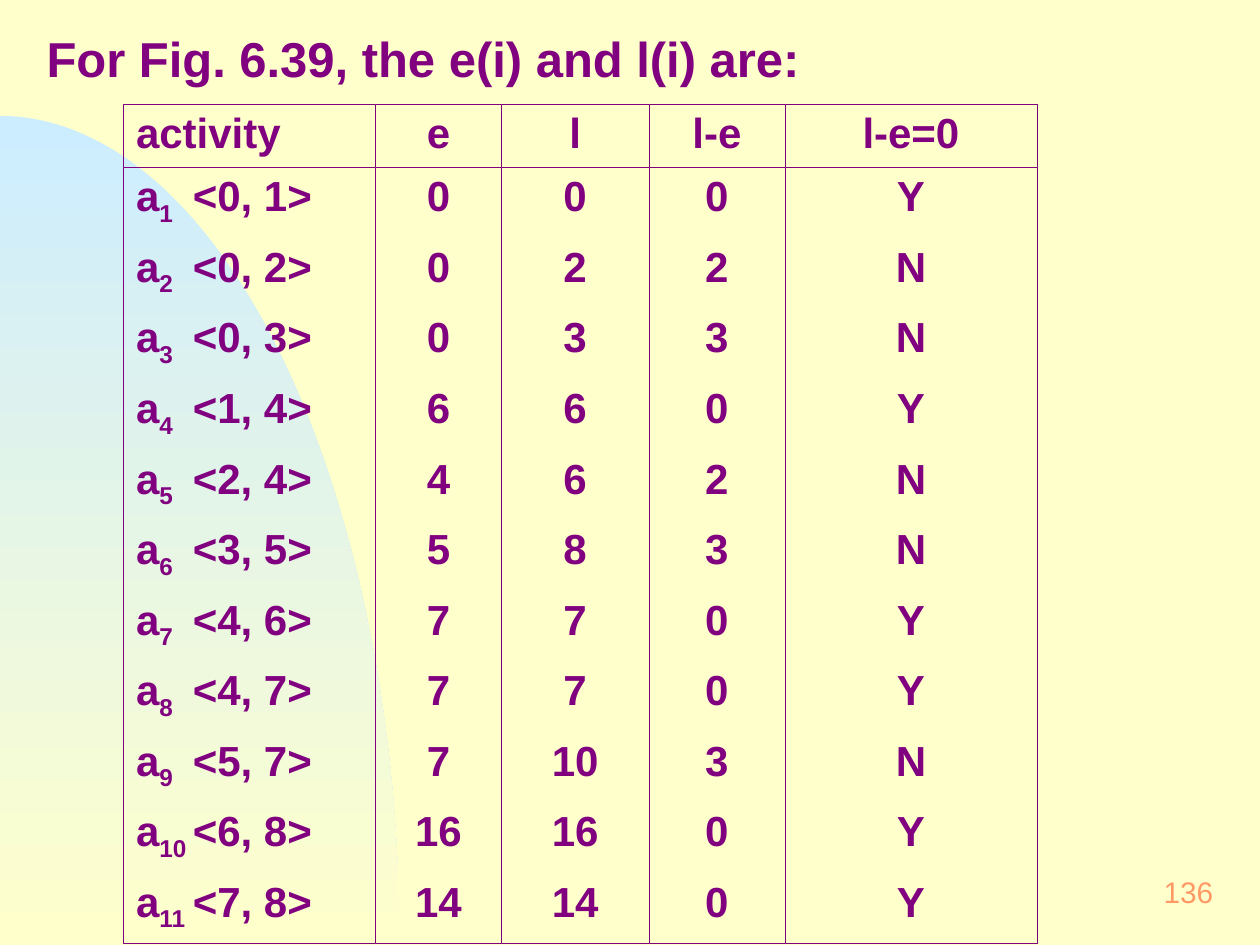
"""Build a slide tabulating the early and late start times of eleven activities."""
from dataclasses import dataclass
from math import cos, pi, sin

from lxml.etree import SubElement
from pptx import Presentation
from pptx.dml.color import RGBColor
from pptx.enum.text import MSO_ANCHOR as Anchor, MSO_AUTO_SIZE as AutoSize, PP_ALIGN as Align
from pptx.oxml.ns import qn
from pptx.util import Inches, Pt

FONT = "Arial"
PURPLE, ORANGE, CREAM, SKY = "800080", "FF9966", "FFFFCC", "CCECFF"
HEADERS = ["activity", "e", "l", "l-e", "l-e=0"]
COL_WIDTHS = [2, 1, 1.17, 1.08, 2]
HEADER_HEIGHT, ROW_HEIGHT = 0.5, 0.56
EDGE_TAB = 0.45


@dataclass
class Activity:
    start: int
    end: int
    early: int
    late: int

    def values(self) -> list[str]:
        slack = self.late - self.early
        return [str(self.early), str(self.late), str(slack), "N" if slack else "Y"]


ACTIVITIES = [
    Activity(0, 1, 0, 0),
    Activity(0, 2, 0, 2),
    Activity(0, 3, 0, 3),
    Activity(1, 4, 6, 6),
    Activity(2, 4, 4, 6),
    Activity(3, 5, 5, 8),
    Activity(4, 6, 7, 7),
    Activity(4, 7, 7, 7),
    Activity(5, 7, 7, 10),
    Activity(6, 8, 16, 16),
    Activity(7, 8, 14, 14),
]


def rgb(color: str) -> RGBColor:
    return RGBColor.from_string(color)


def style(p, size: float, color: str, align=Align.LEFT, bold: bool = True) -> None:
    p.alignment = align
    p.font.name, p.font.size, p.font.bold = FONT, Pt(size), bold
    p.font.color.rgb = rgb(color)


def set_frame(tf, anchor) -> None:
    tf.word_wrap, tf.auto_size, tf.vertical_anchor = True, AutoSize.NONE, anchor
    tf.margin_left = tf.margin_right = Inches(0.12)
    tf.margin_top = tf.margin_bottom = Inches(0.06)


def add_arc(s) -> None:
    rx, ry, bottom, steps = 3.17, 6.58, 7.5, 90
    angles = [pi / 2 * i / steps for i in range(steps + 1)]
    curve = [(Inches(rx * sin(a)), Inches(bottom - ry * cos(a))) for a in angles]
    builder = s.shapes.build_freeform(*curve[0], scale=1.0)
    builder.add_line_segments(curve[1:] + [(0, Inches(bottom))], close=True)
    sp = builder.convert_to_shape()
    sp.shadow.inherit = False
    sp.line.fill.background()
    sp.fill.gradient()
    sp.fill.gradient_angle = 270
    for stop, color, position in zip(sp.fill.gradient_stops, (SKY, CREAM), (0, 1)):
        stop.color.rgb, stop.position = rgb(color), position


def add_title(s, text: str) -> None:
    sp = s.shapes.title
    sp.left, sp.top, sp.width, sp.height = map(Inches, (0.25, 0.17, 9.58, 0.59))
    set_frame(sp.text_frame, Anchor.TOP)
    sp.text_frame.text = text
    style(sp.text_frame.paragraphs[0], 28, PURPLE)


def add_page_number(s, text: str) -> None:
    tf = s.shapes.add_textbox(*map(Inches, (7.67, 6.83, 2.08, 0.5))).text_frame
    set_frame(tf, Anchor.MIDDLE)
    tf.text = text
    style(tf.paragraphs[0], 17, ORANGE, Align.RIGHT, bold=False)


def set_borders(cell, sides: str) -> None:
    tc_pr = cell._tc.get_or_add_tcPr()
    for i, side in enumerate("LRTB"):
        ln = SubElement(tc_pr, qn(f"a:ln{side}"), w=str(Pt(0.45)))
        tc_pr.insert(i, ln)
        if side in sides:
            fill = SubElement(ln, qn("a:solidFill"))
            SubElement(fill, qn("a:srgbClr"), val=PURPLE)
        else:
            SubElement(ln, qn("a:noFill"))


def write_activity(p, number: int, activity: Activity) -> None:
    tabs = SubElement(p._p.get_or_add_pPr(), qn("a:tabLst"))
    SubElement(tabs, qn("a:tab"), pos=str(Inches(EDGE_TAB)), algn="l")
    p.add_run().text = "a"
    r = p.add_run()
    r.text = str(number)
    r.font._element.set("baseline", "-25000")
    p.add_run().text = f"\t<{activity.start}, {activity.end}>"


def add_activity_table(s) -> None:
    last = len(ACTIVITIES)
    frame = s.shapes.add_table(last + 1, len(HEADERS), Inches(0.98), Inches(0.83),
                               Inches(sum(COL_WIDTHS)), Inches(HEADER_HEIGHT + last * ROW_HEIGHT))
    table = frame.table
    table.first_row = table.horz_banding = False
    for column, width in zip(table.columns, COL_WIDTHS):
        column.width = Inches(width)
    for i, row in enumerate(table.rows):
        row.height = Inches(ROW_HEIGHT if i else HEADER_HEIGHT)
        texts = ["", *ACTIVITIES[i - 1].values()] if i else HEADERS
        sides = "LR" + ("T" if i < 2 else "") + ("B" if i in (0, last) else "")
        for j, (cell, text) in enumerate(zip(row.cells, texts)):
            cell.fill.background()
            set_borders(cell, sides)
            p = cell.text_frame.paragraphs[0]
            if i and j == 0:
                write_activity(p, i, ACTIVITIES[i - 1])
            else:
                p.add_run().text = text
            style(p, 24, PURPLE, Align.CENTER if j else Align.LEFT)


def main() -> None:
    prs = Presentation()
    prs.slide_width, prs.slide_height = Inches(10), Inches(7.5)
    s = prs.slides.add_slide(prs.slide_layouts[5])
    s.background.fill.solid()
    s.background.fill.fore_color.rgb = rgb(CREAM)
    add_arc(s)
    add_page_number(s, "136")
    add_title(s, "For Fig. 6.39, the e(i) and l(i) are:")
    add_activity_table(s)
    prs.save("out.pptx")


if __name__ == "__main__":
    main()
